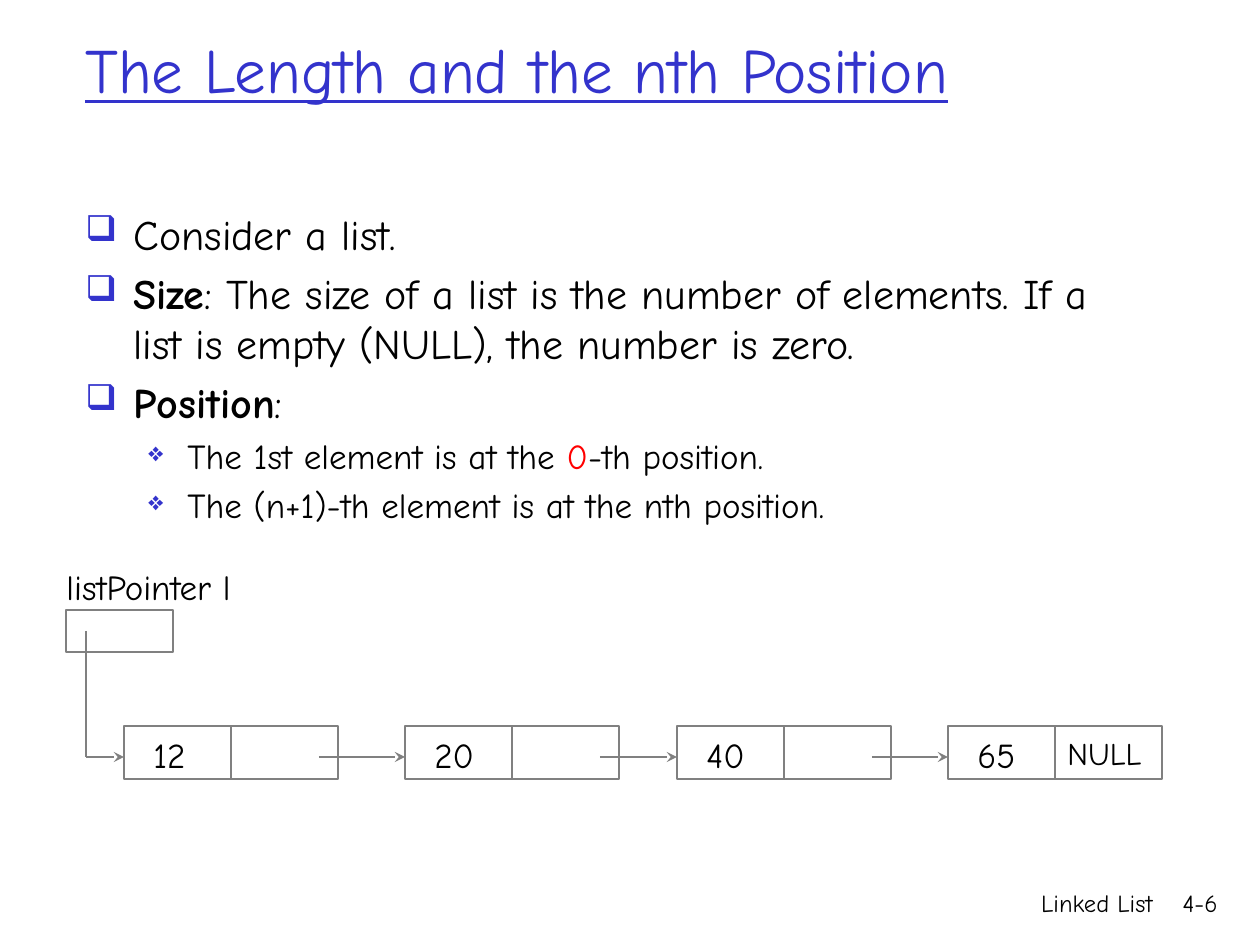
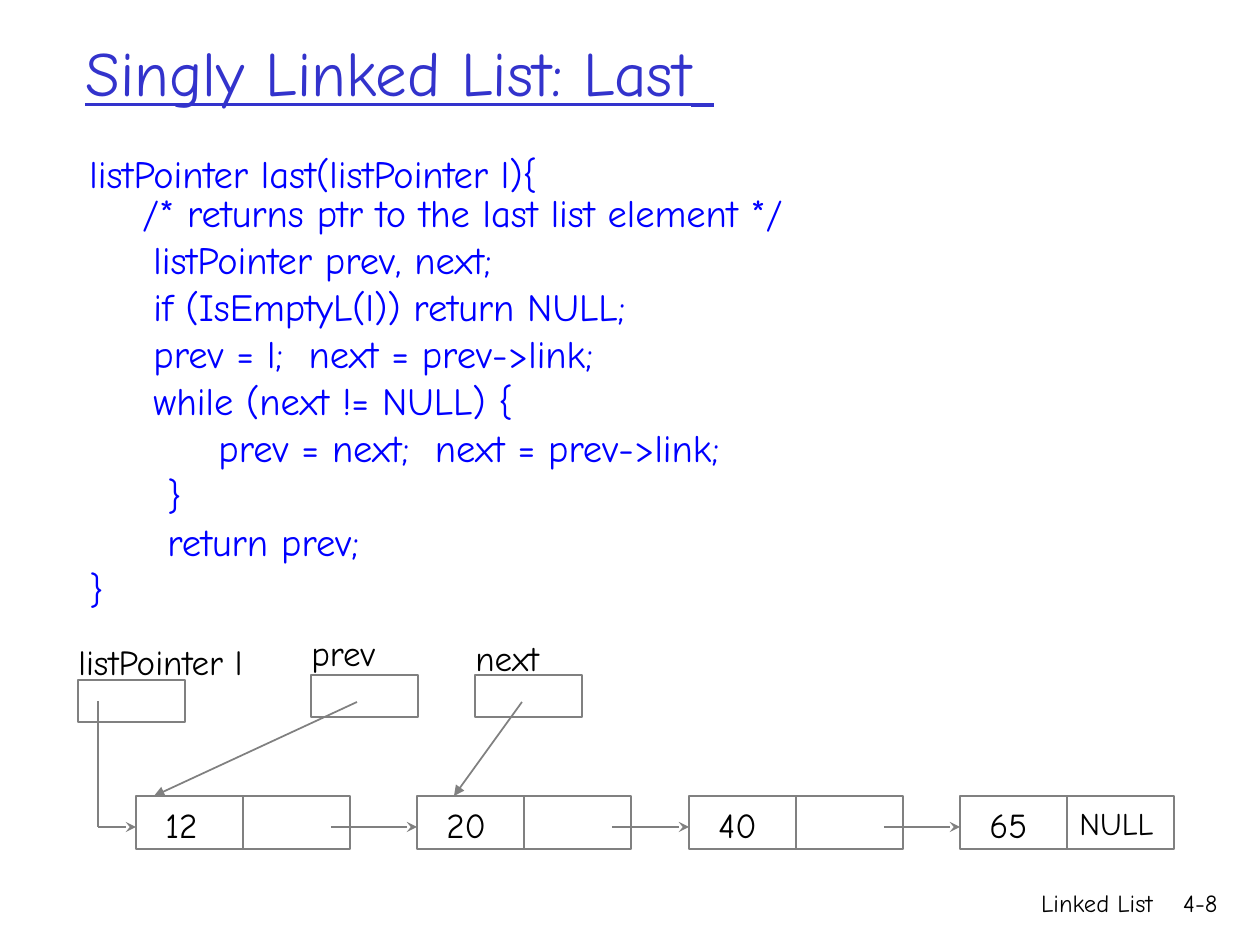
from lxml import etree
from pptx import Presentation, util as u
from pptx.dml.color import RGBColor
from pptx.enum import shapes, text
from pptx.oxml.ns import qn

SCALE = 914400 / 126  # EMU in one px


def px(length):
    return u.Emu(round(length * SCALE))


def colour(hex_string):
    return RGBColor.from_string(hex_string)


def add_node(parent, tag, **attributes):
    return etree.SubElement(parent, qn(tag), attributes)


class Pages:
    """Holds the shared style and the page being drawn."""
    FONT = "Comic Neue"
    INK, ACCENT, CODE, ALERT, LINE = "000000", "3333CC", "0000FF", "FF0000", "808080"
    CELL = 107
    NODE_HEIGHT = 53

    def __init__(self):
        self.deck = Presentation()
        self.deck.slide_width, self.deck.slide_height = px(1260), px(945)
        self.page = None

    # Page frame
    def start(self, number):
        self.page = self.deck.slides.add_slide(self.deck.slide_layouts[6])
        for words, left, width in (("Linked List", 766, 399), (number, 1144, 86)):
            frame = self.box(left, 882, width, 63)
            frame.text = words
            frame.paragraphs[0].alignment = text.PP_ALIGN.RIGHT
            self.style(frame.paragraphs[0].runs[0], 14)

    def title(self, words):
        frame = self.box(73, 32, 1132, 73)
        frame.vertical_anchor = text.MSO_ANCHOR.MIDDLE
        frame.text = words
        span = frame.paragraphs[0].runs[0]
        self.style(span, 36, self.ACCENT)
        span.font.underline = True
        return frame.paragraphs[0]

    # Text
    def box(self, left, top, width, height):
        frame = self.page.shapes.add_textbox(
            px(left), px(top), px(width), px(height)).text_frame
        frame.word_wrap = True
        return frame

    def style(self, span, size, ink=INK, bold=False):
        span.font.name, span.font.size, span.font.bold = self.FONT, u.Pt(size), bold
        span.font.color.rgb = colour(ink)

    def label(self, words, left, top, width, height=55, size=20):
        frame = self.box(left, top, width, height)
        frame.word_wrap = False
        frame.auto_size = text.MSO_AUTO_SIZE.SHAPE_TO_FIT_TEXT
        frame.text = words
        self.style(frame.paragraphs[0].runs[0], size)

    def paragraph(self, frame, first, margin, hanging, space):
        para = frame.paragraphs[0] if first else frame.add_paragraph()
        para.space_before = u.Pt(space)
        props = para._p.get_or_add_pPr()
        props.set("marL", str(px(margin)))
        props.set("indent", str(px(-hanging)))
        return para

    def bullets(self, items):
        """Each item is a level and its spans: (words, ink, bold)."""
        levels = ((48, 48, 24, 5, "❑", 85), (102, 39, 20, 4, "❖", 75))
        frame = self.box(73, 202, 1071, 640)
        for index, (level, spans) in enumerate(items):
            margin, hanging, size, space, mark, percent = levels[level]
            para = self.paragraph(frame, index == 0, margin, hanging, space)
            props = para._p.get_or_add_pPr()
            add_node(add_node(props, "a:buClr"), "a:srgbClr", val=self.ACCENT)
            add_node(props, "a:buSzPct", val=str(percent * 1000))
            add_node(props, "a:buChar", char=mark)
            for words, ink, bold in spans:
                span = para.add_run()
                span.text = words
                self.style(span, size, ink, bold)

    def code(self, lines):
        """Each line is its words, left margin and hanging indent."""
        frame = self.box(14, 151, 1163, 452)
        for index, (words, margin, hanging) in enumerate(lines):
            para = self.paragraph(frame, index == 0, margin, hanging, 4.4)
            para.line_spacing = 0.85
            para.text = words
            for span in para.runs:
                self.style(span, 22, self.CODE)

    # Diagram
    def cell(self, left, top, height):
        rect = self.page.shapes.add_shape(
            shapes.MSO_SHAPE.RECTANGLE, px(left), px(top), px(self.CELL), px(height))
        rect.shadow.inherit = False
        rect.fill.background()
        rect.line.color.rgb, rect.line.width = colour(self.LINE), u.Pt(1)

    def line(self, x1, y1, x2, y2, head=None):
        link = self.page.shapes.add_connector(
            shapes.MSO_CONNECTOR.STRAIGHT, px(x1), px(y1), px(x2), px(y2))
        link.line.color.rgb, link.line.width = colour(self.LINE), u.Pt(1)
        if head:
            add_node(link.line._get_or_add_ln(), "a:tailEnd", type=head)
        add_node(link._element.spPr, "a:effectLst")

    def pointer(self, name, left, top, rise, width):
        self.cell(left, top, 42)
        self.label(name, left - 12, top - rise, width)

    def linked_list(self, left, top, rise):
        self.pointer("listPointer l", left, top, rise, 218)
        row, middle, stem = top + 116, top + 147, left + 20
        self.line(stem, top + 21, stem, middle)
        start = stem
        nodes = (("12", 58, 64), ("20", 339, 69), ("40", 611, 69), ("65", 882, 69))
        for value, offset, width in nodes:
            node = left + offset
            for x in (node, node + self.CELL):
                self.cell(x, row, self.NODE_HEIGHT)
            self.label(value, node + 17, row + 1, width)
            self.line(start, middle, node, middle, "stealth")
            start = node + 195
        self.label("NULL", node + self.CELL, row + 2, 110, 50, 18)


def main():
    pages = Pages()
    ink = pages.INK

    # Length and position
    pages.start("4-6")
    pages.bullets((
        (0, [("Consider a list.", ink, False)]),
        (0, [("Size", ink, True),
             (": The size of a list is the number of elements. "
              "If a list is empty (NULL), the number is zero.", ink, False)]),
        (0, [("Position", ink, True), (":", ink, False)]),
        (1, [("The 1st element is at the ", ink, False), ("0", pages.ALERT, False),
             ("-th position.", ink, False)]),
        (1, [("The (n+1)-th element is at the nth position.", ink, False)]),
    ))
    pages.title("The Length and the nth Position")
    pages.linked_list(66, 610, 51)

    # Last element
    pages.start("4-8")
    para = pages.title("Singly Linked List: Last")
    space = para.add_run()
    space.text = " "
    pages.style(space, 40, pages.ACCENT)
    space.font.underline = True
    pages.code((
        ("listPointer last(listPointer l){\n/* returns ptr to the last list element */",
         116, 53),
        ("listPointer prev, next;", 127, 0),
        ("if (IsEmptyL(l)) return NULL;", 127, 0),
        ("prev = l;  next = prev->link;", 127, 0),
        ("while (next != NULL) {", 127, 0),
        ("prev = next;  next = prev->link;", 192, 0),
        ("}", 141, 0),
        ("return prev;", 141, 0),
        ("}", 63, 0),
    ))
    pages.linked_list(78, 680, 46)
    pages.pointer("prev", 311, 675, 50, 98)
    pages.pointer("next", 475, 675, 45, 101)
    pages.line(357, 702, 154, 796, "triangle")
    pages.line(522, 702, 454, 796, "triangle")

    pages.deck.save("out.pptx")


if __name__ == "__main__":
    main()
